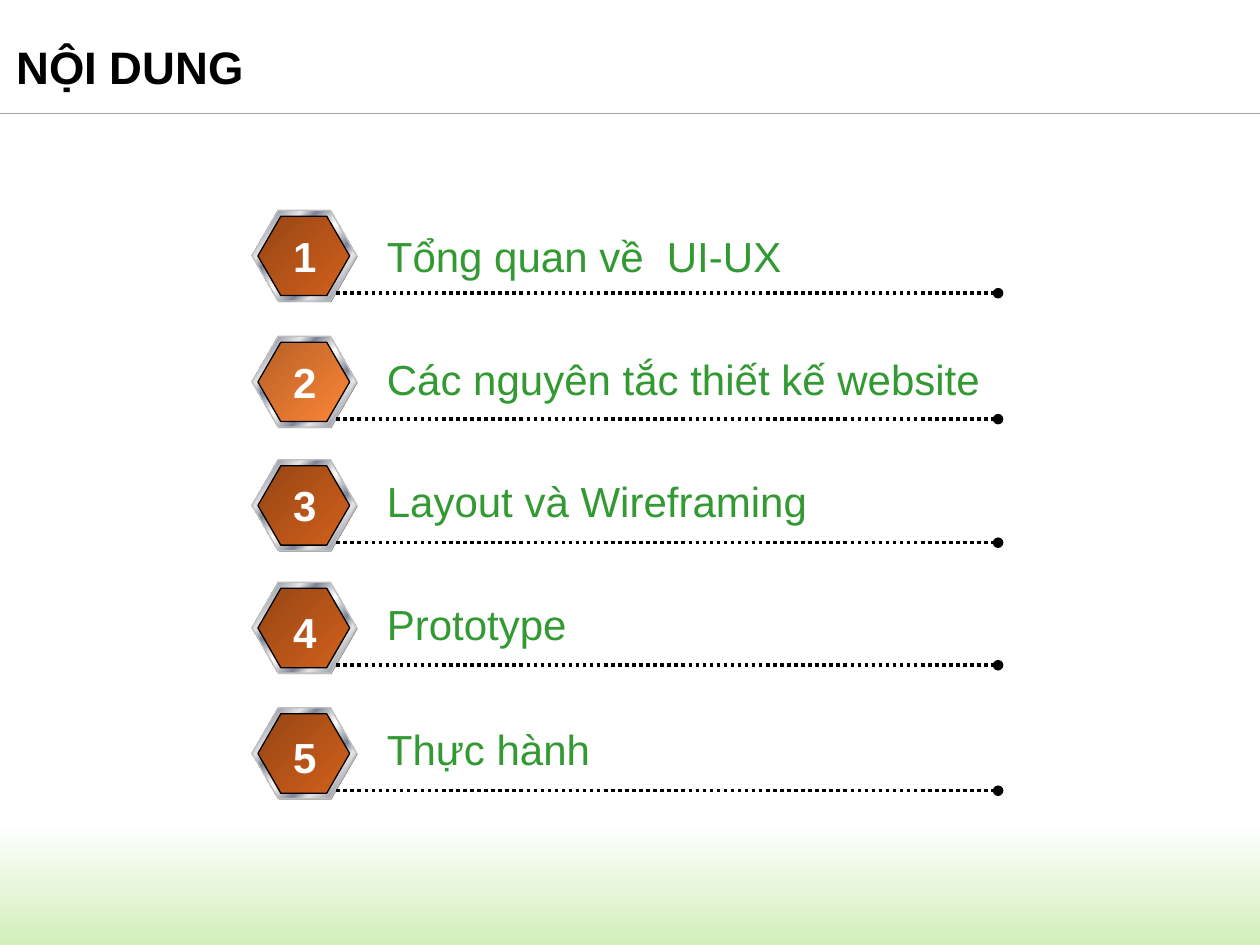
from lxml import etree
from pptx import Presentation
from pptx.dml.color import RGBColor
from pptx.enum.dml import MSO_LINE
from pptx.enum.shapes import MSO_CONNECTOR, MSO_SHAPE
from pptx.enum.text import MSO_ANCHOR, MSO_AUTO_SIZE, PP_ALIGN
from pptx.oxml.ns import qn
from pptx.util import Cm, Pt

COLORS = {
    "black": "000000",
    "white": "FFFFFF",
    "label": "339933",
    "footer": "D3EFBB",
    "divider": "A6A6A6",
    "rim_shadow": "808080",
    "rim_line": "C0C0C0",
    "silver": "E6E6E6",
    "steel": "7D8496",
    "brown": "964514",
    "rust": "D2611C",
    "tan": "B66027",
    "orange": "FE8637",
}

METAL = [(0, "silver"), (8, "steel"), (26, "silver"), (34, "steel"),
         (46, "silver"), (50, "white"), (54, "silver"), (66, "steel"),
         (74, "silver"), (92, "steel"), (100, "silver")]
RUST = [(0, "brown"), (100, "rust")]
ORANGE = [(0, "tan"), (100, "orange")]

# Topic, row top, label width, label drop, number drop (cm), badge gradient
TOPICS = [
    ("Tổng quan về  UI-UX", 4.24, 8.79, 0.28, 0.28, RUST),
    ("Các nguyên tắc thiết kế website", 6.78, 12.6, 0.23, 0.28, ORANGE),
    ("Layout và Wireframing", 9.27, 9.07, 0.2, 0.28, RUST),
    ("Prototype", 11.74, 4.17, 0.2, 0.36, RUST),
    ("Thực hành", 14.27, 4.65, 0.2, 0.36, RUST),
]
ROW_LEFT = 5.08


def rgb(name):
    return RGBColor.from_string(COLORS[name])


def fill_gradient(shape, stops, angle):
    """Fill with (percent, colour) stops; the angle runs clockwise."""
    shape.fill.gradient()
    gradient = shape._element.spPr.find(qn("a:gradFill"))
    for child in list(gradient):
        gradient.remove(child)
    stop_list = etree.SubElement(gradient, qn("a:gsLst"))
    for percent, name in stops:
        stop = etree.SubElement(stop_list, qn("a:gs"), pos=str(percent * 1000))
        etree.SubElement(stop, qn("a:srgbClr"), val=COLORS[name])
    etree.SubElement(gradient, qn("a:lin"), ang=str(angle * 60000), scaled="0")


def write(frame, text, size=24, color="black", bold=False,
          align=PP_ALIGN.LEFT, spacing=None):
    paragraph = frame.paragraphs[0]
    paragraph.alignment = align
    if spacing:
        paragraph.line_spacing = spacing
    run = paragraph.add_run()
    run.text = text
    run.font.name = "Arial"
    run.font.size = Pt(size)
    run.font.bold = bold
    run.font.color.rgb = rgb(color)


def add_text(slide, text, left, top, width, **text_format):
    box = slide.shapes.add_textbox(Cm(left), Cm(top), Cm(width), Cm(1.28))
    box.text_frame.word_wrap = False
    box.text_frame.auto_size = MSO_AUTO_SIZE.SHAPE_TO_FIT_TEXT
    write(box.text_frame, text, **text_format)


def add_line(slide, left, top, width, color, weight):
    line = slide.shapes.add_connector(
        MSO_CONNECTOR.STRAIGHT, Cm(left), Cm(top), Cm(left + width), Cm(top))
    line.line.color.rgb = rgb(color)
    line.line.width = Pt(weight)
    etree.SubElement(line._element.spPr, qn("a:effectLst"))
    return line


def add_hexagon(group, left, top, width, height, outline=None):
    hexagon = group.shapes.add_shape(
        MSO_SHAPE.HEXAGON, Cm(left), Cm(top), Cm(width), Cm(height))
    hexagon.adjustments[0] = 0.289
    hexagon.adjustments[1] = 1.155
    hexagon.shadow.inherit = False
    if outline:
        hexagon.line.color.rgb = rgb(outline)
        hexagon.line.width = Pt(0.75)
    else:
        hexagon.line.fill.background()
    return hexagon


def add_badge(slide, left, top, face_stops):
    """Metal-rimmed hexagon with a coloured face."""
    badge = slide.shapes.add_group_shape()
    shade = add_hexagon(badge, left + 0.02, top + 0.02, 2.11, 1.83)
    shade.fill.solid()
    shade.fill.fore_color.rgb = rgb("rim_shadow")
    rim = add_hexagon(badge, left, top, 2.11, 1.83, "rim_line")
    fill_gradient(rim, METAL, 45)
    face = add_hexagon(badge, left + 0.12, top + 0.12, 1.85, 1.6, "black")
    fill_gradient(face, face_stops, 45)


def add_topic(slide, number, left, top, topic, label_width, label_drop,
              number_drop, face_stops):
    add_badge(slide, left, top, face_stops)
    leader = add_line(slide, left + 1.7, top + 1.67, 13.34, "black", 2)
    leader.line.dash_style = MSO_LINE.ROUND_DOT
    outline = leader._element.spPr.find(qn("a:ln"))
    etree.SubElement(outline, qn("a:tailEnd"), type="oval")
    add_text(slide, topic, left + 2.47, top + label_drop, label_width,
             color="label")
    add_text(slide, str(number), left + 0.57, top + number_drop, 0.99,
             color="white", bold=True, align=PP_ALIGN.CENTER)


def add_footer_band(slide, left, top, width, height):
    band = slide.shapes.add_shape(
        MSO_SHAPE.RECTANGLE, Cm(left), Cm(top), Cm(width), Cm(height))
    band.shadow.inherit = False
    band.line.fill.background()
    fill_gradient(band, [(0, "white"), (100, "footer")], 90)


def add_heading(slide, text, left, top, width, height):
    title = slide.shapes.title
    title.left, title.top = Cm(left), Cm(top)
    title.width, title.height = Cm(width), Cm(height)
    frame = title.text_frame
    frame.margin_left = frame.margin_right = 0
    frame.margin_top = frame.margin_bottom = Cm(0.13)
    frame.vertical_anchor = MSO_ANCHOR.TOP
    frame.word_wrap = True
    write(frame, text, size=26, bold=True, spacing=0.9)


def main():
    deck = Presentation()
    deck.slide_width, deck.slide_height = Cm(25.4), Cm(19.05)
    slide = deck.slides.add_slide(deck.slide_layouts[5])
    slide.background.fill.solid()
    slide.background.fill.fore_color.rgb = rgb("white")
    add_footer_band(slide, -0.08, 16.59, 25.48, 2.46)
    add_line(slide, 0, 2.29, 25.4, "divider", 0.75)
    add_heading(slide, "NỘI DUNG", 0.33, 0.79, 21.77, 1.8)
    for number, (topic, top, *details) in enumerate(TOPICS, start=1):
        add_topic(slide, number, ROW_LEFT, top, topic, *details)
    deck.save("out.pptx")


if __name__ == "__main__":
    main()
